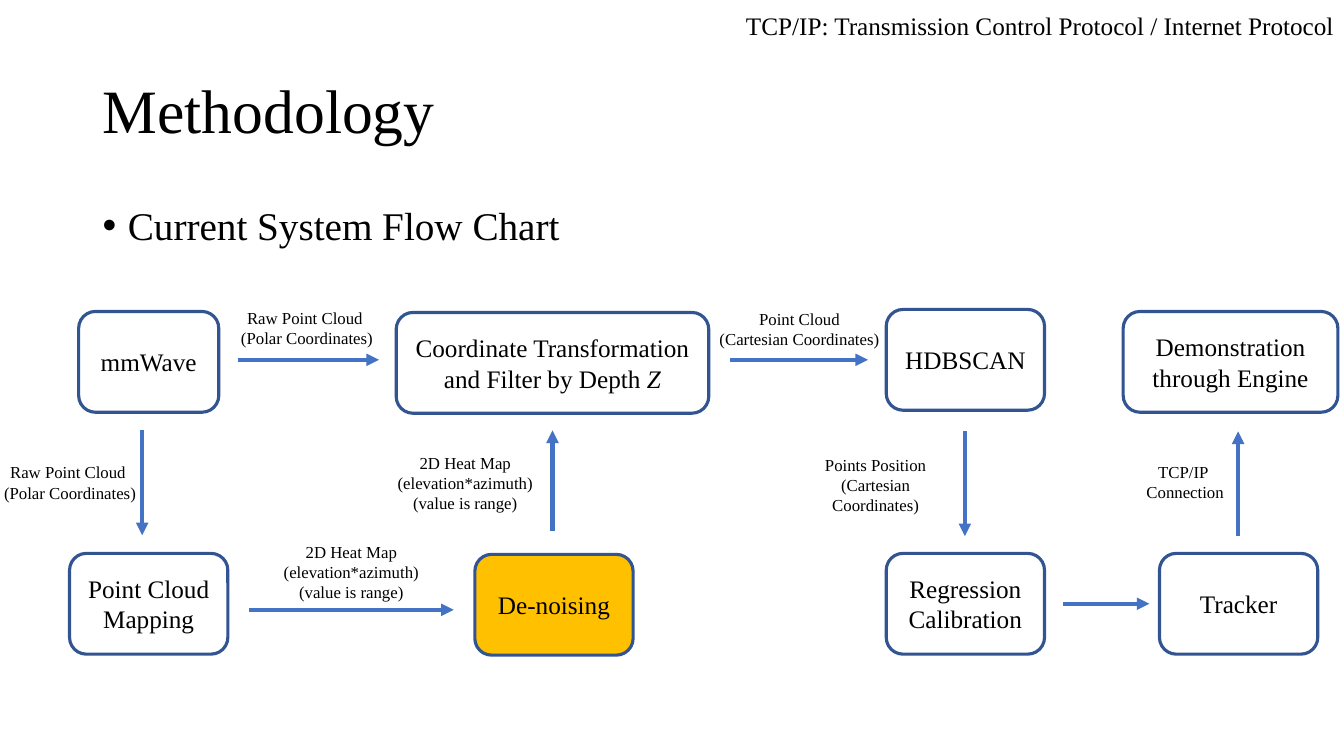
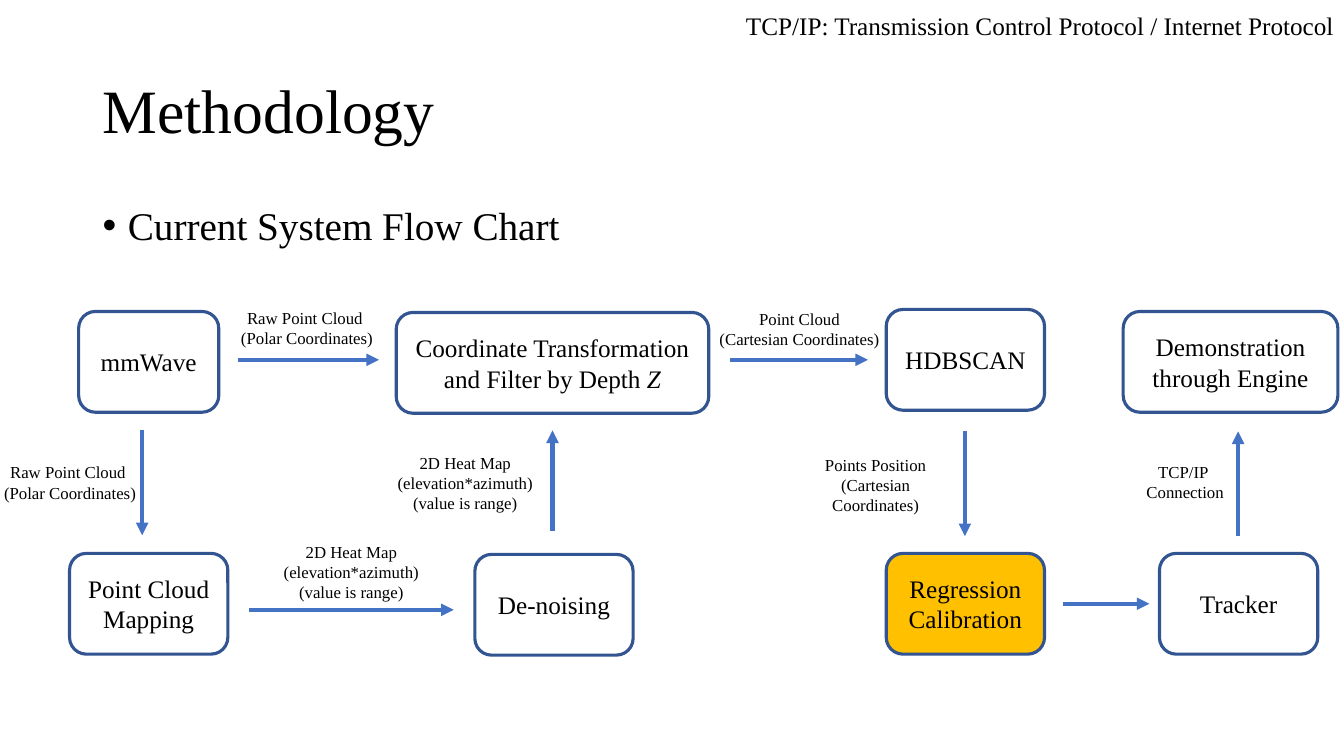
from lxml import etree
from pptx import Presentation
from pptx.dml.color import RGBColor
from pptx.enum.shapes import MSO_CONNECTOR, MSO_SHAPE
from pptx.enum.text import MSO_ANCHOR as Anchor, PP_ALIGN as Align
from pptx.oxml.ns import qn
from pptx.util import Inches, Pt

FONT = "Times New Roman"
INK, OUTLINE, ARROW, HIGHLIGHT = "000000", "325491", "4472C4", "FFC000"

# Text formats: size, paragraph and frame values
TITLE = {"size": 44, "para": {"line_spacing": 0.9}, "frame": {"vertical_anchor": Anchor.MIDDLE}}
BULLET = {"size": 28, "para": {"line_spacing": 0.9}, "frame": {}}
HEADER = {"size": 18, "para": {}, "frame": {}}
NODE = {"size": 18, "para": {"alignment": Align.CENTER},
        "frame": {"vertical_anchor": Anchor.MIDDLE}}
LABEL = NODE | {"size": 12}

# Flow chart parts, relative to the chart's top left corner
ROW_2, NODE_WIDTH, NODE_HEIGHT = 2.42, 1.57, 1
COLUMN_3 = 8.1
NODES = {  # name: (left, top, width, paragraphs)
    "sensor": (0.09, 0.02, 1.39, ["mmWave"]),
    "transform": (3.24, 0.03, 3.1, ["Coordinate Transformation",
                                    [("and Filter by Depth ", False), ("Z", True)]]),
    "clustering": (COLUMN_3, 0, NODE_WIDTH, ["HDBSCAN"]),
    "demo": (10.45, 0.02, 2.13, ["Demonstration\nthrough Engine"]),
    "mapping": (0, ROW_2, NODE_WIDTH, ["Point Cloud\nMapping"]),
    "denoising": (4.02, ROW_2 + 0.01, NODE_WIDTH, ["De-noising"]),
    "calibration": (COLUMN_3, ROW_2, NODE_WIDTH, ["Regression\nCalibration"]),
    "tracker": (10.81, ROW_2, NODE_WIDTH, ["Tracker"]),
}
ARROWS = [  # start x, start y, end x, end y
    (1.67, 0.5, 3.07, 0.5),
    (6.55, 0.5, 7.92, 0.5),
    (0.72, 1.2, 0.72, 2.24),
    (4.79, 2.2, 4.79, 1.2),
    (8.88, 1.21, 8.88, 2.25),
    (11.59, 2.25, 11.59, 1.21),
    (1.78, 2.98, 3.81, 2.98),
    (9.85, 2.92, 10.71, 2.92),
]
RAW_CLOUD = ["Raw Point Cloud ", "(Polar Coordinates)"]
HEAT_MAP = ["2D Heat Map", "(elevation*azimuth)", "(value is range)"]
LABELS = [  # left, top, width, height, paragraphs
    (1.5, -0.13, 1.71, 0.63, RAW_CLOUD),
    (-0.85, 1.4, 1.71, 0.63, RAW_CLOUD),
    (1.94, 2.2, 1.71, 0.8, HEAT_MAP),
    (3.07, 1.32, 1.71, 0.8, HEAT_MAP),
    (6.29, -0.21, 1.9, 0.8, ["Point Cloud", "(Cartesian Coordinates)"]),
    (7.11, 1.34, 1.77, 0.8, ["Points Position", "(Cartesian Coordinates)"]),
    (10.18, 1.31, 1.77, 0.8, ["TCP/IP ", "Connection"]),
]


def color(hex_text):
    return RGBColor.from_string(hex_text)


def set_values(target, values):
    for name, value in values.items():
        setattr(target, name, value)


def add_span(para, text, size, italic):
    for index, line in enumerate(text.split("\n")):
        if index:
            para.add_line_break()
        span = para.add_run()
        span.text = line
        set_values(span.font, {"name": FONT, "size": Pt(size), "italic": italic})
        span.font.color.rgb = color(INK)


def write(box, paragraphs, style):
    frame = box.text_frame
    set_values(frame, {"word_wrap": True} | style["frame"])
    for index, content in enumerate(paragraphs):
        para = frame.add_paragraph() if index else frame.paragraphs[0]
        set_values(para, style["para"])
        spans = [(content, None)] if isinstance(content, str) else content
        for text, italic in spans:
            add_span(para, text, style["size"], italic)


def add_text(page, left, top, width, height, paragraphs, style):
    box = page.shapes.add_textbox(*map(Inches, (left, top, width, height)))
    write(box, paragraphs, style)
    return box


def add_bullet(para, indent):
    props = para._p.get_or_add_pPr()
    props.set("marL", str(Inches(indent)))
    props.set("indent", str(-Inches(indent)))
    etree.SubElement(props, qn("a:buFont")).set("typeface", "Arial")
    etree.SubElement(props, qn("a:buChar")).set("char", "•")


def add_node(page, left, top, width, paragraphs, fill):
    box = page.shapes.add_shape(MSO_SHAPE.ROUNDED_RECTANGLE,
                                *map(Inches, (left, top, width, NODE_HEIGHT)))
    box.shadow.inherit = False
    if fill:
        box.fill.solid()
        box.fill.fore_color.rgb = color(fill)
    else:
        box.fill.background()
    box.line.color.rgb = color(OUTLINE)
    box.line.width = Pt(2.25)
    write(box, paragraphs, NODE)


def add_arrow(page, *ends):
    arrow = page.shapes.add_connector(MSO_CONNECTOR.STRAIGHT, *map(Inches, ends))
    arrow.line.color.rgb = color(ARROW)
    arrow.line.width = Pt(3)
    etree.SubElement(arrow.line._get_or_add_ln(), qn("a:tailEnd")).set("type", "triangle")
    etree.SubElement(arrow._element.spPr, qn("a:effectLst"))


def add_heading(page, left, top, width):
    add_text(page, left, top, width, 1.45, ["Methodology"], TITLE)
    body = add_text(page, left, top + 1.6, width, 0.6, ["Current System Flow Chart"], BULLET)
    add_bullet(body.text_frame.paragraphs[0], 0.25)


def add_flow_chart(page, left, top, active):
    for name, (x, y, width, paragraphs) in NODES.items():
        fill = HIGHLIGHT if name == active else None
        add_node(page, left + x, top + y, width, paragraphs, fill)
    for x1, y1, x2, y2 in ARROWS:
        add_arrow(page, left + x1, top + y1, left + x2, top + y2)
    for x, y, width, height, paragraphs in LABELS:
        add_text(page, left + x, top + y, width, height, paragraphs, LABEL)


def add_methodology_slide(deck, active):
    page = deck.slides.add_slide(deck.slide_layouts[6])
    add_heading(page, 0.92, 0.4, 11.5)
    add_text(page, 7.3, 0.05, 6.15, 0.4,
             ["TCP/IP: Transmission Control Protocol / Internet Protocol"], HEADER)
    add_flow_chart(page, 0.69, 3.07, active)


def main():
    deck = Presentation()
    set_values(deck, {"slide_width": Inches(13.33), "slide_height": Inches(7.5)})
    for active in ("denoising", "calibration"):
        add_methodology_slide(deck, active)
    deck.save("out.pptx")


if __name__ == "__main__":
    main()
